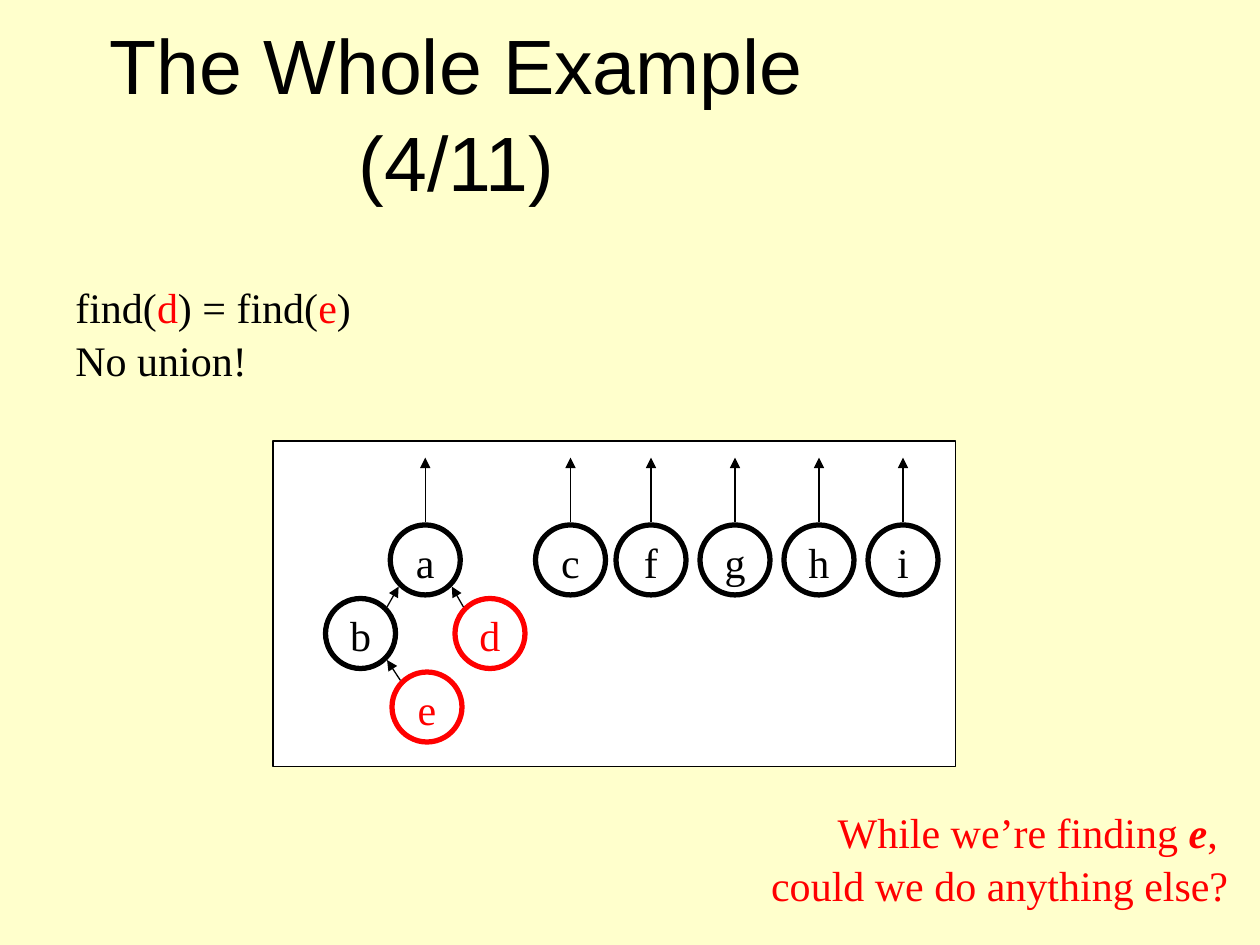
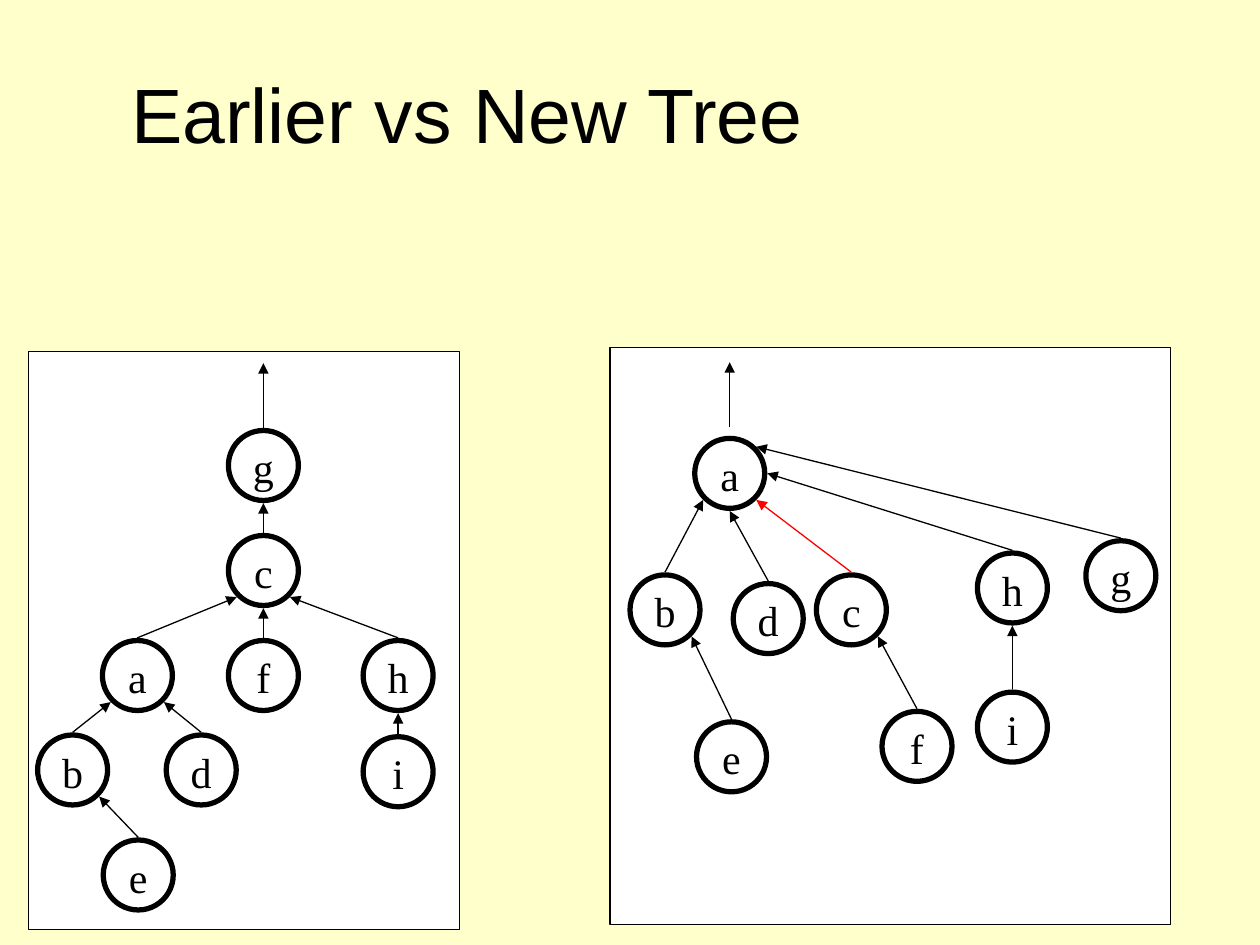
from math import sqrt

from lxml import etree
from pptx import Presentation
from pptx.dml.color import RGBColor
from pptx.enum.shapes import MSO_CONNECTOR, MSO_SHAPE
from pptx.enum.text import MSO_ANCHOR, PP_ALIGN
from pptx.oxml.ns import qn
from pptx.util import Pt

LEFT, CENTER, RIGHT = PP_ALIGN.LEFT, PP_ALIGN.CENTER, PP_ALIGN.RIGHT
TOP, MIDDLE = MSO_ANCHOR.TOP, MSO_ANCHOR.MIDDLE
RECT, OVAL = MSO_SHAPE.RECTANGLE, MSO_SHAPE.OVAL
STRAIGHT = MSO_CONNECTOR.STRAIGHT

CREAM = RGBColor(0xFF, 0xFF, 0xCC)
WHITE = RGBColor(0xFF, 0xFF, 0xFF)
BLACK = RGBColor(0, 0, 0)
RED = RGBColor(0xFF, 0, 0)
TITLE_FONT, BODY_FONT = "Arial", "Times New Roman"

NODE = 40           # circle diameter
REACH = 21.5        # distance from circle centre to an arrow end
ROOT_ARROW = 37     # length of the arrow above a root
LINE_SPACING = 1.05
D = 1 / sqrt(2)
PORTS = {"t": (0, -1), "b": (0, 1), "r": (1, 0),
         "tl": (-D, -D), "tr": (D, -D), "bl": (-D, D), "br": (D, D)}

# Content: paragraphs are lists of (text, colour, emphasised) runs
FIND_NOTE = [
    [("find(", BLACK, False), ("d", RED, False), (") = find(", BLACK, False),
     ("e", RED, False), (")", BLACK, False)],
    [("No union!", BLACK, False)],
]
QUESTION = [
    [("While we’re finding ", RED, False), ("e", RED, True), (", ", RED, False)],
    [("could we do anything else?", RED, False)],
]

# Trees: nodes are top-left corners, edges are (child, port, parent, port)
FOREST = {
    "box": (156, 252, 390, 186),
    "nodes": {"a": (223, 300), "c": (306, 300),
              **{name: (352 + 48 * n, 300) for n, name in enumerate("fghi")},
              "b": (186, 342), "d": (260, 342), "e": (224, 384)},
    "roots": "acfghi",
    "edges": [("b", "tr", "a", "bl"), ("d", "tl", "a", "br"),
              ("e", "tl", "b", "br")],
    "red_nodes": "de",
}
EARLIER_TREE = {
    "box": (16.5, 201, 246, 330),
    "nodes": {"g": (130.5, 246), "c": (130.5, 306),
              "a": (58.5, 366), "f": (130.5, 366), "h": (207.5, 366),
              "b": (21.5, 420), "d": (95, 420), "i": (207.5, 421),
              "e": (59, 480)},
    "roots": "g",
    "edges": [("c", "t", "g", "b"), ("a", "t", "c", "bl"),
              ("f", "t", "c", "b"), ("h", "t", "c", "br"),
              ("b", "t", "a", "bl"), ("d", "t", "a", "br"),
              ("i", "t", "h", "b"), ("e", "t", "b", "br")],
}
NEW_TREE = {
    "box": (348.5, 198.5, 320.5, 330),
    "nodes": {"a": (397, 250.5), "b": (360, 328.5), "d": (419, 333.5),
              "c": (466.5, 328.5), "h": (558.5, 316), "g": (620.5, 309),
              "f": (504, 406.5), "i": (558.5, 395.5), "e": (398, 412.5)},
    "roots": "a",
    "root_gap": 5,
    "edges": [("b", "t", "a", "bl"), ("d", "t", "a", "b"),
              ("c", "t", "a", "br"), ("h", "t", "a", "r"),
              ("g", "t", "a", "tr"), ("e", "t", "b", "br"),
              ("f", "t", "c", "br"), ("i", "t", "h", "b")],
    "red_edges": [("c", "a")],
}
SLIDES = [
    {"title": "The Whole Example (4/11)", "title_width": 510,
     "trees": [FOREST],
     "notes": [((36, 156, 172, 65), FIND_NOTE, LEFT),
               ((433, 456, 276, 65), QUESTION, RIGHT)]},
    {"title": "Earlier vs New Tree", "title_width": 522,
     "trees": [EARLIER_TREE, NEW_TREE], "notes": []},
]


def write(sp, paragraphs, size, font, align, anchor, wrap):
    tf = sp.text_frame
    tf.word_wrap = wrap
    tf.vertical_anchor = anchor
    for n, runs in enumerate(paragraphs):
        p = tf.add_paragraph() if n else tf.paragraphs[0]
        p.alignment = align
        p.line_spacing = LINE_SPACING
        for text, color, emphasised in runs:
            r = p.add_run()
            r.text = text
            r.font.name, r.font.size = font, Pt(size)
            r.font.color.rgb = color
            if emphasised:
                r.font.bold = r.font.italic = True


def add_text(s, box, paragraphs, size, font, align, anchor=TOP, wrap=False):
    sp = s.shapes.add_textbox(*map(Pt, box))
    write(sp, paragraphs, size, font, align, anchor, wrap)


def add_outline(s, kind, box, color, width, fill=None):
    sp = s.shapes.add_shape(kind, *map(Pt, box))
    sp.shadow.inherit = False
    if fill is None:
        sp.fill.background()
    else:
        sp.fill.solid()
        sp.fill.fore_color.rgb = fill
    sp.line.color.rgb = color
    sp.line.width = Pt(width)
    return sp


def add_arrow(s, start, end, color=BLACK):
    c = s.shapes.add_connector(STRAIGHT, *map(Pt, (*start, *end)))
    c.line.color.rgb = color
    c.line.width = Pt(0.75)
    etree.SubElement(c.line._get_or_add_ln(), qn("a:tailEnd"), type="triangle")
    etree.SubElement(c._element.spPr, qn("a:effectLst"))


def port(corner, side):
    return tuple(at + NODE / 2 + REACH * step
                 for at, step in zip(corner, PORTS[side]))


def add_tree(s, tree):
    nodes = tree["nodes"]
    add_outline(s, RECT, tree["box"], BLACK, 0.75, WHITE)
    # Nodes
    for name, corner in nodes.items():
        color = RED if name in tree.get("red_nodes", "") else BLACK
        sp = add_outline(s, OVAL, (*corner, NODE, NODE), color, 3)
        write(sp, [[(name, color, False)]], 24, BODY_FONT, CENTER, MIDDLE, False)
    # Arrows above the roots
    for name in tree["roots"]:
        x, y = port(nodes[name], "t")
        y -= tree.get("root_gap", 0)
        add_arrow(s, (x, y), (x, y - ROOT_ARROW))
    # Arrows from child to parent
    for child, child_side, parent, parent_side in tree["edges"]:
        color = RED if (child, parent) in tree.get("red_edges", []) else BLACK
        add_arrow(s, port(nodes[child], child_side),
                  port(nodes[parent], parent_side), color)


def main():
    prs = Presentation()
    prs.slide_width, prs.slide_height = Pt(720), Pt(540)
    for content in SLIDES:
        s = prs.slides.add_slide(prs.slide_layouts[6])
        s.background.fill.solid()
        s.background.fill.fore_color.rgb = CREAM
        add_text(s, (6, 18, content["title_width"], 90),
                 [[(content["title"], BLACK, False)]],
                 44, TITLE_FONT, CENTER, MIDDLE, True)
        for tree in content["trees"]:
            add_tree(s, tree)
        for box, paragraphs, align in content["notes"]:
            add_text(s, box, paragraphs, 24, BODY_FONT, align)
    prs.save("out.pptx")


if __name__ == "__main__":
    main()
